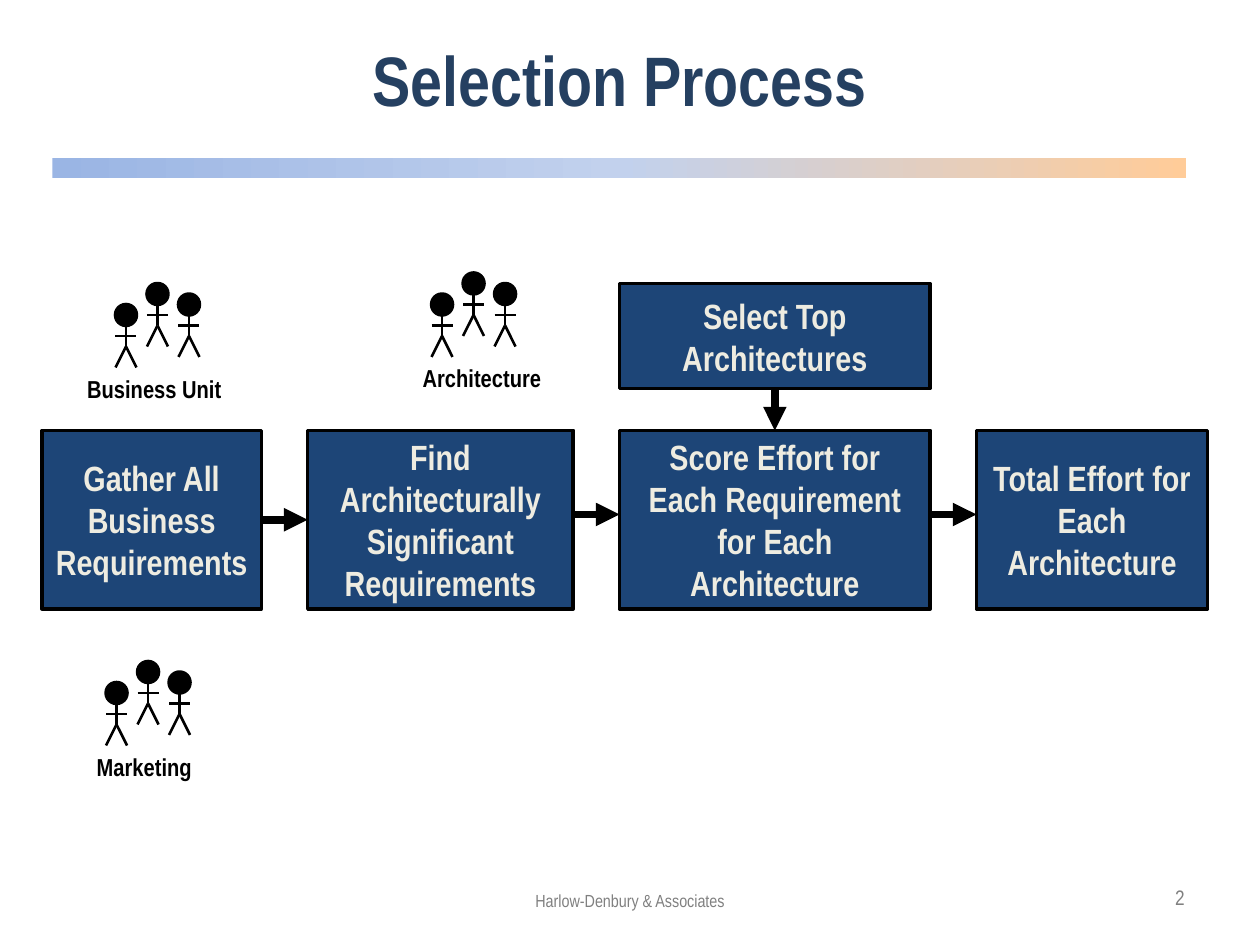
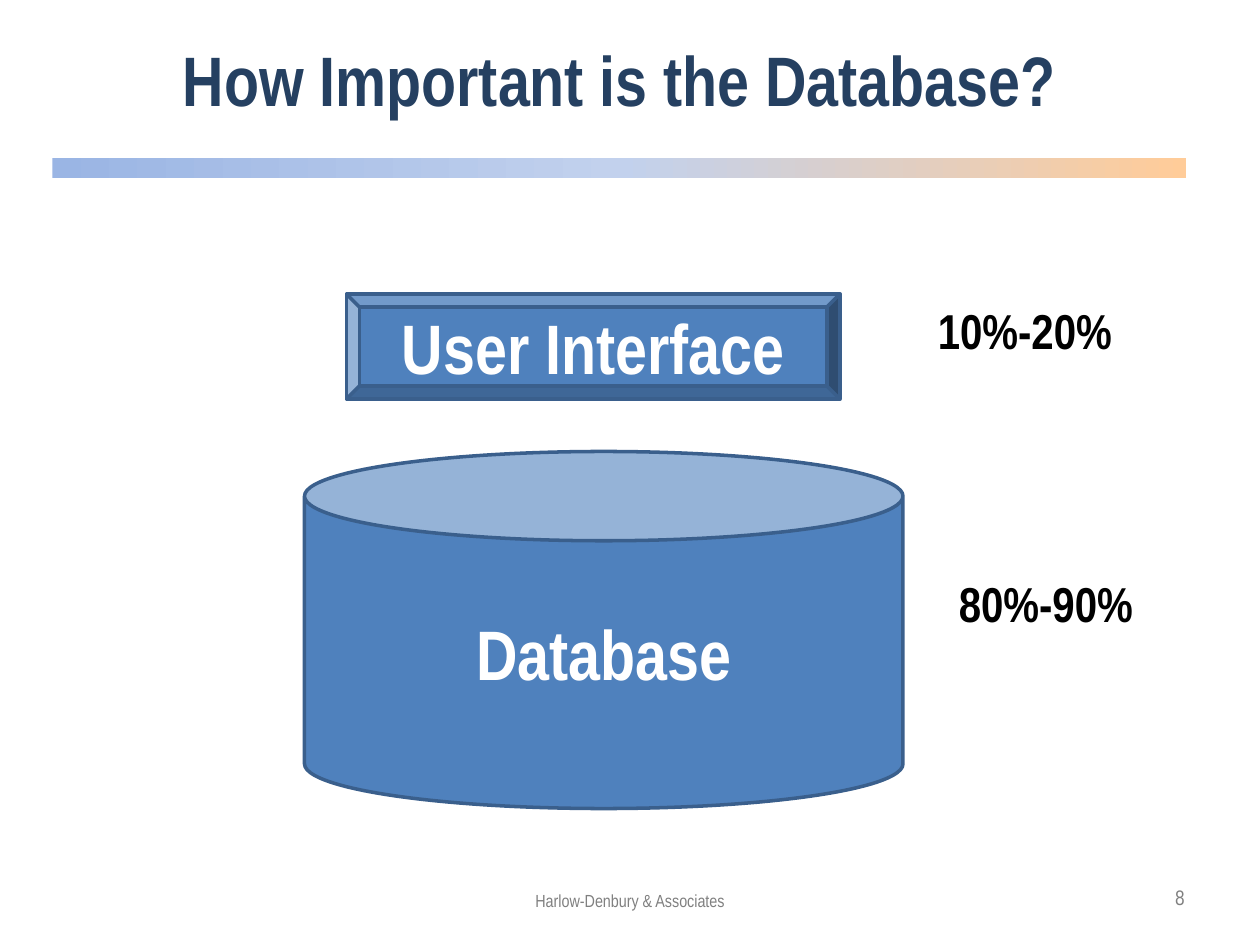
from copy import deepcopy

from lxml.etree import SubElement
from pptx import Presentation
from pptx.dml.color import RGBColor
from pptx.enum.shapes import MSO_CONNECTOR, MSO_SHAPE
from pptx.enum.text import MSO_ANCHOR, MSO_AUTO_SIZE, PP_ALIGN
from pptx.oxml.ns import qn
from pptx.util import Inches, Pt

# Grid: 120 columns by 90 rows
WIDTH, HEIGHT = Inches(10), Inches(7.5)
COLS, ROWS = 120, 90

COLORS = {
    "title": "254061", "step": "1D4577", "step_text": "EEECE1",
    "block": "4F81BD", "block_line": "3A5F8C", "footer": "808080",
    "black": "000000", "white": "FFFFFF",
}
BAND_STOPS = [(0, "9AB5E4"), (0.5, "C2D1ED"), (1, "FFCC99")]
FORMATS = {
    "title": {"size": Pt(40), "bold": True, "color": "title"},
    "step": {"size": Pt(20), "bold": True, "color": "step_text"},
    "label": {"size": Pt(14), "bold": True, "color": "black"},
    "block": {"size": Pt(40), "bold": True, "color": "white"},
    "share": {"size": Pt(28), "bold": True, "color": "black"},
    "footer": {"size": Pt(10), "bold": False, "color": "footer"},
    "number": {"size": Pt(12), "bold": False, "color": "footer"},
}
FOOTER = "Harlow-Denbury & Associates"


def col(n):
    return int(WIDTH * n / COLS)


def row(n):
    return int(HEIGHT * n / ROWS)


def place(x, y, w, h):
    return col(x), row(y), col(w), row(h)


def rgb(name):
    return RGBColor.from_string(COLORS[name])


def write(sp, text, style, align=PP_ALIGN.CENTER, wrap=True):
    """Fill a shape with one paragraph per line of text."""
    tf = sp.text_frame
    tf.word_wrap = wrap
    tf.vertical_anchor = MSO_ANCHOR.MIDDLE
    for i, line in enumerate(text.split("\n")):
        p = tf.add_paragraph() if i else tf.paragraphs[0]
        p.alignment = align
        r = p.add_run()
        r.text = line
        r.font.name = "Arial Narrow"
        for key, value in FORMATS[style].items():
            if key == "color":
                r.font.color.rgb = rgb(value)
            else:
                setattr(r.font, key, value)


def add_text(s, box, text, style, align=PP_ALIGN.CENTER, wrap=True):
    sp = s.shapes.add_textbox(*place(*box))
    write(sp, text, style, align, wrap)
    if not wrap:
        sp.text_frame.auto_size = MSO_AUTO_SIZE.SHAPE_TO_FIT_TEXT
    return sp


def add_block(s, kind, box, fill, line, text=None, style=None):
    sp = s.shapes.add_shape(kind, *place(*box))
    sp.shadow.inherit = False
    sp.fill.solid()
    sp.fill.fore_color.rgb = rgb(fill)
    sp.line.color.rgb = rgb(line)
    sp.line.width = Pt(2)
    if text:
        write(sp, text, style)
    return sp


def add_line(s, x1, y1, x2, y2, width=1.5, arrow=False):
    c = s.shapes.add_connector(MSO_CONNECTOR.STRAIGHT,
                               col(x1), row(y1), col(x2), row(y2))
    c.line.color.rgb = rgb("black")
    c.line.width = Pt(width)
    if arrow:
        SubElement(c.line._get_or_add_ln(), qn("a:tailEnd"), type="triangle")
    SubElement(c._element.spPr, qn("a:effectLst"))
    return c


def join(c, start, start_side, end, end_side):
    c.begin_connect(start, start_side)
    c.end_connect(end, end_side)


# Title, gradient band, footer and page number
def frame(prs, title, number):
    s = prs.slides.add_slide(prs.slide_layouts[6])
    band = s.shapes.add_shape(MSO_SHAPE.RECTANGLE, *place(5, 15, 108, 2))
    band.shadow.inherit = False
    band.line.fill.background()
    band.fill.gradient()
    band.fill.gradient_angle = 0
    stops = band._element.spPr.find(".//" + qn("a:gsLst"))
    stops.insert(1, deepcopy(stops[0]))
    for stop, (position, color) in zip(band.fill.gradient_stops, BAND_STOPS):
        stop.position = position
        stop.color.rgb = RGBColor.from_string(color)
    add_text(s, (5, 0, 108, 15), title, "title")
    add_text(s, (107, 83, 7, 4.8), str(number), "number", PP_ALIGN.RIGHT)
    add_text(s, (41, 83.4, 38, 4.8), FOOTER, "footer")
    return s


# Stick figure, two columns wide and six rows high
def person(s, x, y):
    add_block(s, MSO_SHAPE.OVAL, (x, y, 2, 2), "black", "black")
    for x1, y1, x2, y2 in [(1, 2, 1, 4), (0, 3, 2, 3),
                           (1, 4, 0, 6), (1, 4, 2, 6)]:
        add_line(s, x + x1, y + y1, x + x2, y + y2)


# Three people above a team name
def team(s, x, y, name, label_x, label_w):
    for dx, dy in [(3, 0), (6, 1), (0, 2)]:
        person(s, x + dx, y + dy)
    add_text(s, (x + label_x, y + 8, label_w, 4), name, "label", wrap=False)


# Row of steps, the extra input above it, and the teams involved
def process(s, box):
    left, top, width, _ = box
    steps = [
        ("Gather All\nBusiness\nRequirements", 20.9),
        ("Find Architecturally\nSignificant Requirements", 25.3),
        ("Score Effort for Each Requirement for Each Architecture", 29.6),
        ("Total Effort for\nEach Architecture", 22),
    ]
    gap = (width - sum(w for _, w in steps)) / (len(steps) - 1)
    y, x, placed = top + 15, left, []
    for text, w in steps:
        sp = add_block(s, MSO_SHAPE.RECTANGLE, (x, y, w, 17),
                       "step", "black", text, "step")
        placed.append((sp, x, w))
        x += w + gap

    for i, (sp, x, w) in enumerate(placed[:-1]):
        arrow_y = y + (8.5 if i == 0 else 8)
        c = add_line(s, x + w, arrow_y, x + w + gap, arrow_y, 4.5, True)
        if i == 0:
            join(c, sp, 3, placed[1][0], 1)

    score, x, w = placed[2]
    select = add_block(s, MSO_SHAPE.RECTANGLE, (x, top + 1, w, 10),
                       "step", "black", "Select Top\nArchitectures", "step")
    c = add_line(s, x + w / 2, top + 11, x + w / 2, y, 4.5, True)
    join(c, select, 2, score, 0)

    for dx, dy, name, label_x, label_w in [
            (7, 1, "Business Unit", -4, 15.4),
            (6.1, 37, "Marketing", -2.1, 11.5),
            (37.1, 0, "Architecture", -2.1, 13.8)]:
        team(s, left + dx, top + dy, name, label_x, label_w)


# Interface above the database, each with its share
def layers(s, box):
    left, top, width, height = box
    for kind, text, x, y, w, h in [
            (MSO_SHAPE.CAN, "Database", 0, 15, width, height - 15),
            (MSO_SHAPE.BEVEL, "User Interface", 4, 0, 47, 10)]:
        add_block(s, kind, (left + x, top + y, w, h),
                  "block", "block_line", text, "block")
    for text, x, y in [("10%-20%", 59, 0), ("80%-90%", 61, 26)]:
        add_text(s, (left + x, top + y, 19.2, 6.8), text, "share", wrap=False)


def main():
    prs = Presentation()
    prs.slide_width, prs.slide_height = WIDTH, HEIGHT
    process(frame(prs, "Selection Process", 2), (4, 26, 111, 49))
    layers(frame(prs, "How Important is the Database?", 8), (29, 28, 57, 49))
    prs.save("out.pptx")


if __name__ == "__main__":
    main()
